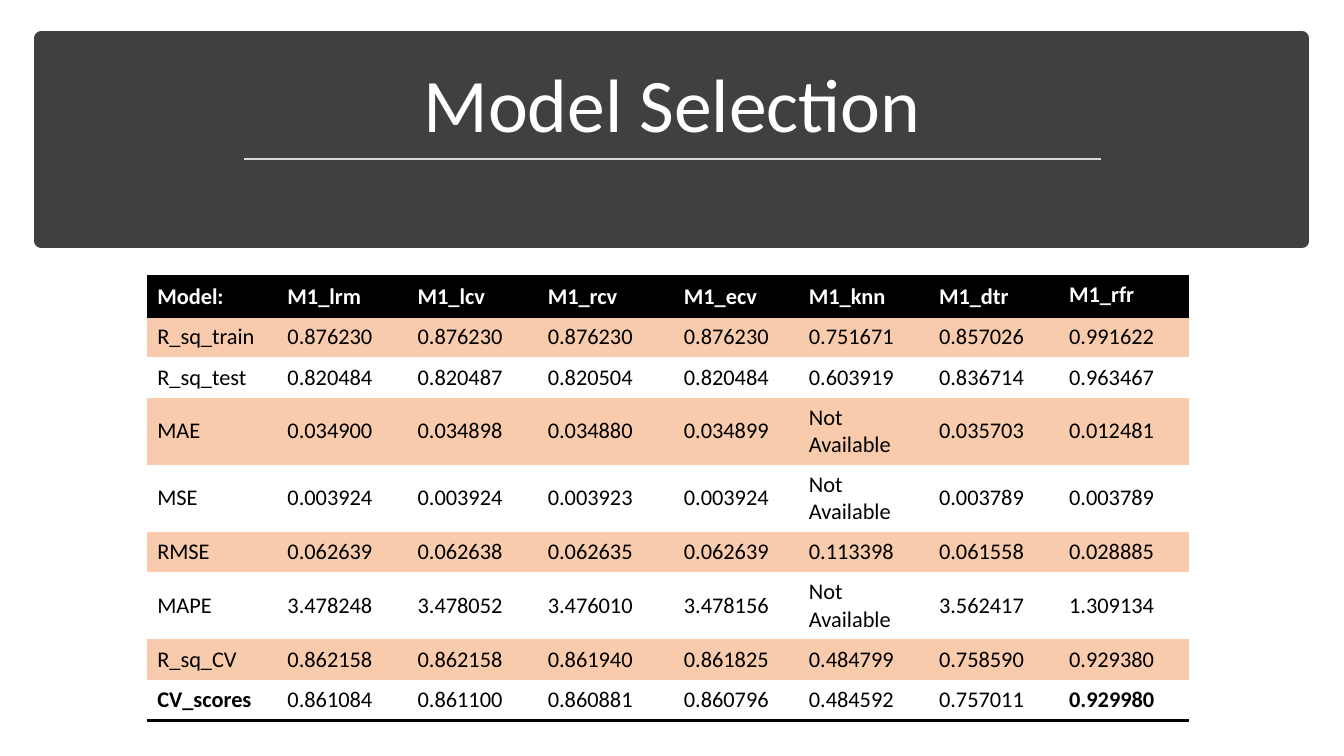
from dataclasses import dataclass

from lxml.etree import SubElement
from pptx import Presentation
from pptx.dml.color import RGBColor
from pptx.enum.shapes import MSO_CONNECTOR, MSO_SHAPE
from pptx.enum.text import MSO_ANCHOR as Anchor, PP_ALIGN as Align
from pptx.oxml import parse_xml
from pptx.oxml.ns import nsdecls, qn
from pptx.util import Cm, Pt

BLACK = RGBColor(0x00, 0x00, 0x00)
WHITE = RGBColor(0xFF, 0xFF, 0xFF)
CHARCOAL = RGBColor(0x40, 0x40, 0x40)
SILVER = RGBColor(0xD9, 0xD9, 0xD9)
PEACH = RGBColor(0xF8, 0xCB, 0xAD)
FONT = "Calibri"
NO_STYLE_NO_GRID = "{2D5ABB26-0587-4C30-8999-92F81FD0307C}"
MISSING = "Not Available"
MODELS = ["M1_lrm", "M1_lcv", "M1_rcv", "M1_ecv", "M1_knn", "M1_dtr", "M1_rfr"]
COLUMN_WIDTHS = [3.28, 3.28, 3.28, 3.43, 3.15, 3.28, 3.28, 3.28]
ROW_HEIGHT, TALL_ROW_HEIGHT = 1.02, 1.69


@dataclass
class Metric:
    name: str
    scores: list[str]


METRICS = [
    Metric("R_sq_train", ["0.876230", "0.876230", "0.876230", "0.876230", "0.751671", "0.857026", "0.991622"]),
    Metric("R_sq_test", ["0.820484", "0.820487", "0.820504", "0.820484", "0.603919", "0.836714", "0.963467"]),
    Metric("MAE", ["0.034900", "0.034898", "0.034880", "0.034899", MISSING, "0.035703", "0.012481"]),
    Metric("MSE", ["0.003924", "0.003924", "0.003923", "0.003924", MISSING, "0.003789", "0.003789"]),
    Metric("RMSE", ["0.062639", "0.062638", "0.062635", "0.062639", "0.113398", "0.061558", "0.028885"]),
    Metric("MAPE", ["3.478248", "3.478052", "3.476010", "3.478156", MISSING, "3.562417", "1.309134"]),
    Metric("R_sq_CV", ["0.862158", "0.862158", "0.861940", "0.861825", "0.484799", "0.758590", "0.929380"]),
    Metric("CV_scores", ["0.861084", "0.861100", "0.860881", "0.860796", "0.484592", "0.757011", "0.929980"]),
]


def add_span(para, text: str, size: float, color: RGBColor, bold: bool = False) -> None:
    span = para.add_run()
    span.text = text
    span.font.name = FONT
    span.font.size = Pt(size)
    span.font.bold = bold
    span.font.color.rgb = color


def add_borders(cell, sides: str) -> None:
    properties = cell._tc.get_or_add_tcPr()
    for position, side in enumerate(sides):
        border = parse_xml(
            f'<a:ln{side} {nsdecls("a")} w="{Pt(2)}"><a:solidFill>'
            f'<a:srgbClr val="{BLACK}"/></a:solidFill></a:ln{side}>'
        )
        properties.insert(position, border)


def add_title(page) -> None:
    band = page.shapes.add_shape(MSO_SHAPE.RECTANGLE, Cm(1.04), Cm(0.97), Cm(31.78), Cm(5.1))
    band.shadow.inherit = False
    band.fill.solid()
    band.fill.fore_color.rgb = CHARCOAL
    band.line.color.rgb = CHARCOAL
    band.line.width = Pt(10)
    title = page.shapes.title
    title._element.addprevious(band._element)
    title.left, title.top, title.width, title.height = Cm(1.47), Cm(1.3), Cm(30.94), Cm(2.59)
    title.text_frame.vertical_anchor = Anchor.BOTTOM
    title.text_frame.word_wrap = True
    para = title.text_frame.paragraphs[0]
    para.alignment = Align.CENTER
    para.line_spacing = 0.9
    add_span(para, "Model Selection", 54, WHITE)

    rule = page.shapes.add_connector(MSO_CONNECTOR.STRAIGHT, Cm(6.15), Cm(4.01), Cm(27.74), Cm(4.01))
    rule.line.color.rgb = SILVER
    rule.line.width = Pt(1.75)
    SubElement(rule._element.spPr, qn("a:effectLst"))


def add_scores(page) -> None:
    rows = [["Model:", *MODELS]] + [[metric.name, *metric.scores] for metric in METRICS]
    heights = [TALL_ROW_HEIGHT if MISSING in row else ROW_HEIGHT for row in rows]
    frame = page.shapes.add_table(
        len(rows), len(COLUMN_WIDTHS), Cm(3.71), Cm(6.96), Cm(sum(COLUMN_WIDTHS)), Cm(sum(heights))
    )
    table = frame.table
    table.horz_banding = False
    table._tbl.tblPr.find(qn("a:tableStyleId")).text = NO_STYLE_NO_GRID
    for column, width in zip(table.columns, COLUMN_WIDTHS):
        column.width = Cm(width)

    last_row, last_column = len(rows) - 1, len(MODELS)
    for row_index, (row, height) in enumerate(zip(rows, heights)):
        table.rows[row_index].height = Cm(height)
        header = row_index == 0
        fill = BLACK if header else PEACH if row_index % 2 else WHITE
        for column_index, text in enumerate(row):
            cell = table.cell(row_index, column_index)
            at_edge = column_index in (0, last_column)
            top_anchored = header and column_index == last_column
            cell.vertical_anchor = Anchor.TOP if top_anchored else Anchor.MIDDLE
            cell.fill.solid()
            cell.fill.fore_color.rgb = fill
            bold = header or (row_index == last_row and at_edge)
            add_span(cell.text_frame.paragraphs[0], text, 16, WHITE if header else BLACK, bold)
            if header:
                add_borders(cell, "TB")
            elif row_index == last_row:
                add_borders(cell, "B")


def main() -> None:
    deck = Presentation()
    deck.slide_width, deck.slide_height = Cm(33.87), Cm(19.05)
    page = deck.slides.add_slide(deck.slide_layouts[5])
    add_title(page)
    add_scores(page)
    deck.save("out.pptx")


if __name__ == "__main__":
    main()
